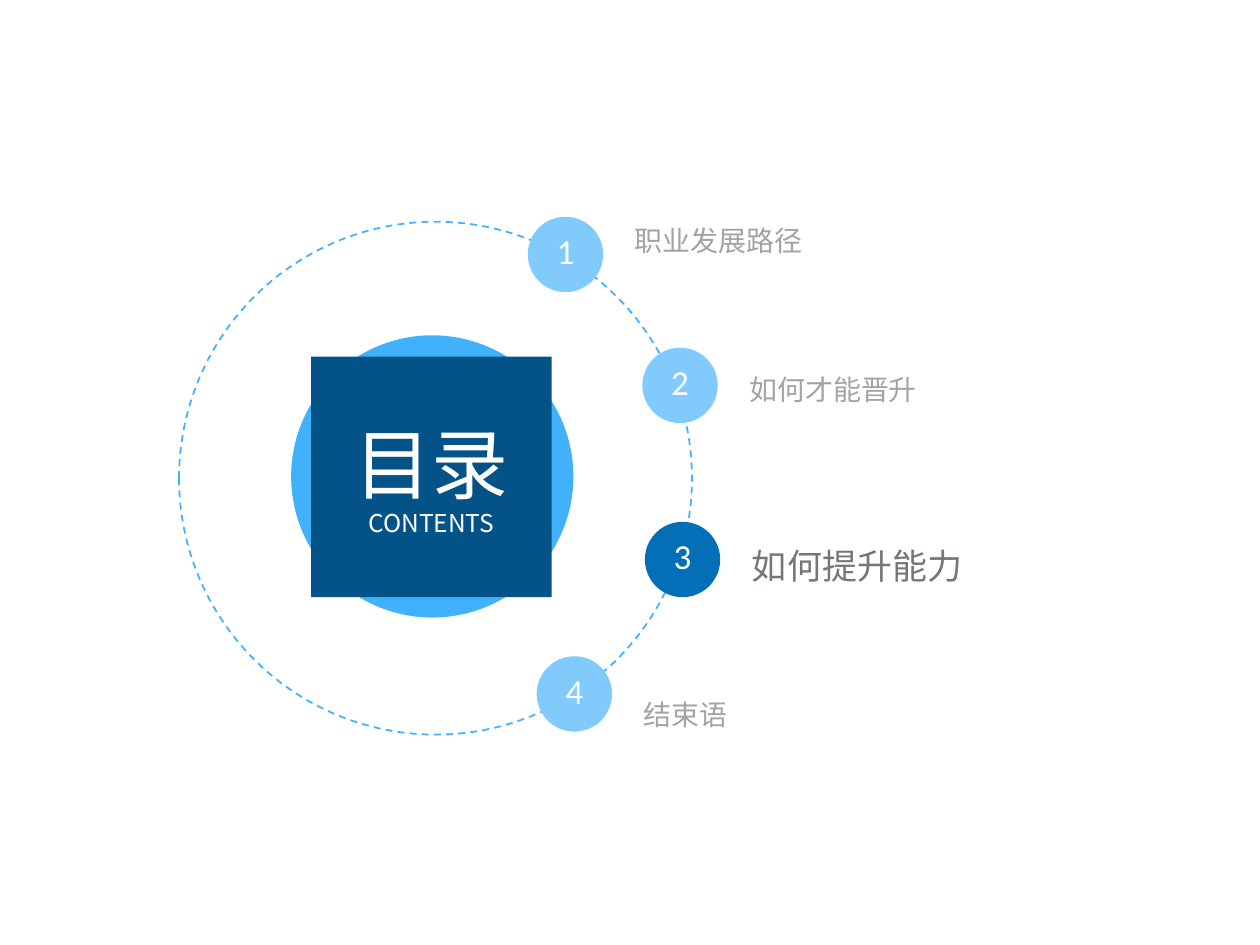
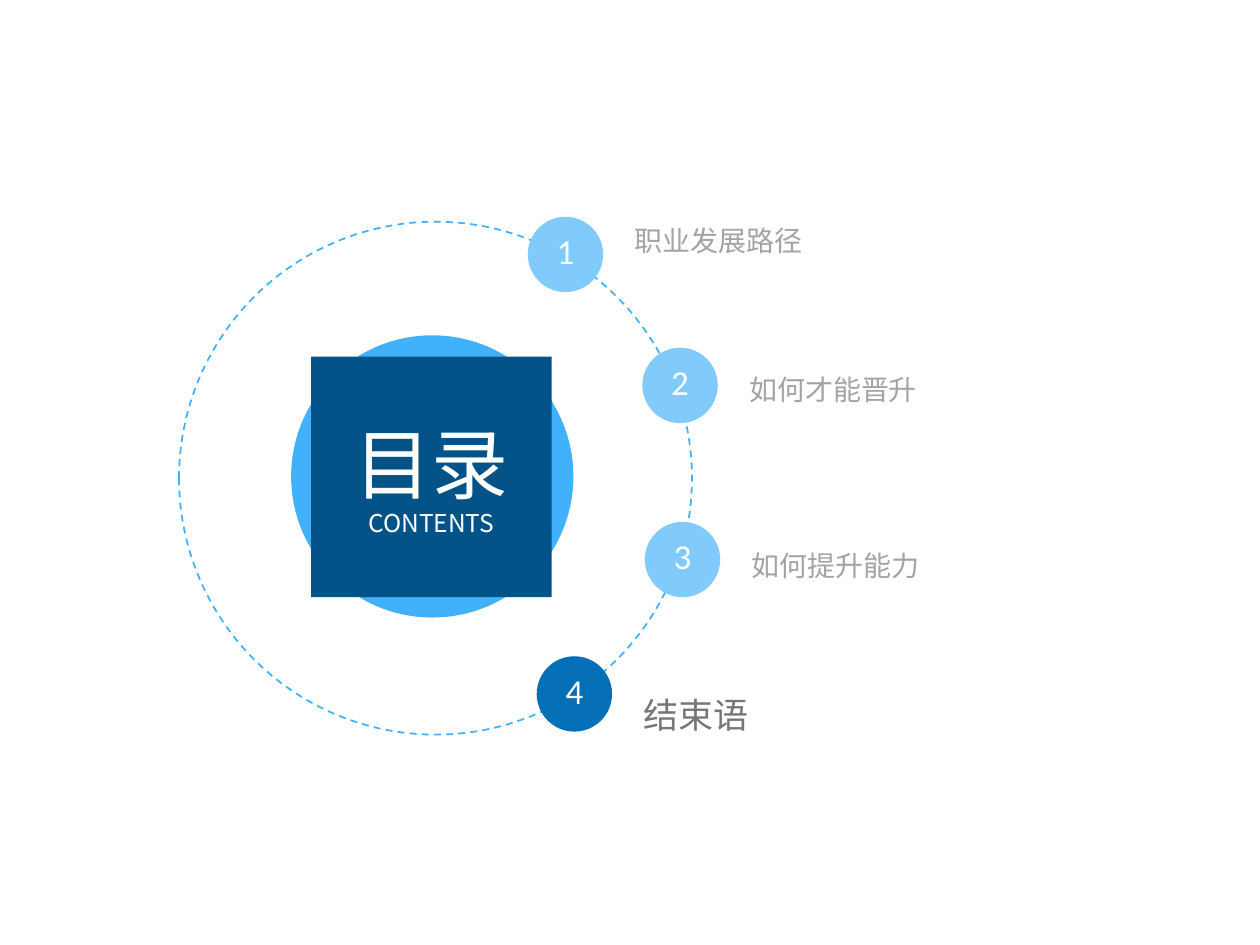
"""Build the two agenda slides, each highlighting one chapter on the orbit."""
from copy import deepcopy

from lxml.etree import SubElement
from pptx import Presentation
from pptx.dml.color import RGBColor
from pptx.enum.dml import MSO_LINE
from pptx.enum.shapes import MSO_SHAPE as Shape
from pptx.enum.text import MSO_ANCHOR as Anchor, MSO_AUTO_SIZE as AutoSize, PP_ALIGN as Align
from pptx.oxml.ns import qn
from pptx.util import Cm, Pt

HEADING = [("目录", 44), ("CONTENTS", 14)]
# Chapter, badge left and top, label top and width
CHAPTERS = [
    ("职业发展路径", 10.64, 4.37, 3.71, 9.93),
    ("如何才能晋升", 12.95, 7.01, 6.71, 8.28),
    ("如何提升能力", 13.0, 10.52, 10.26, 8.38),
    ("结束语", 10.82, 13.23, 13.26, 10.24),
]
ACTIVE_CHAPTERS = [3, 4]

HALO = (5.87, 6.76, 5.69)
ORBIT = (3.61, 4.47, 10.34)
DISC = (6.27, 7.19, 4.85)
BADGE_SIZE = 1.52
LABEL_OFFSET = 2.06
LABEL_HEIGHT = 2.13

WHITE, SKY, NAVY = "FFFFFF", "41B1FB", "035388"
BADGE_COLOURS = {True: "046FB6", False: "80CBFC"}
LABEL_STYLES = {True: (20, "73767A"), False: (16, "A3A3A3")}
LATIN, CHINESE = "Calibri", "Noto Sans CJK SC"


def colour(value):
    return RGBColor.from_string(value)


def paint(shape, value):
    shape.fill.solid()
    shape.fill.fore_color.rgb = colour(value)


def style(para, size, value, face=LATIN, align=Align.LEFT, spacing=1.0):
    para.alignment, para.line_spacing = align, spacing
    font = para.font
    font.size, font.name, font.color.rgb = Pt(size), face, colour(value)
    defaults = para._p.find(".//" + qn("a:defRPr"))
    SubElement(defaults, qn("a:ea"), typeface=CHINESE)


def set_frame(frame, left=0, right=0, top=0, bottom=0):
    frame.word_wrap, frame.auto_size = True, AutoSize.NONE
    frame.vertical_anchor = Anchor.MIDDLE
    frame.margin_left, frame.margin_right = Cm(left), Cm(right)
    frame.margin_top, frame.margin_bottom = Cm(top), Cm(bottom)


def add_circle(page, left, top, size, fill=None):
    circle = page.shapes.add_shape(Shape.OVAL, Cm(left), Cm(top), Cm(size), Cm(size))
    circle.shadow.inherit = False
    circle.line.fill.background()
    if fill:
        paint(circle, fill)
    else:
        circle.fill.background()
    return circle


def add_hub(page):
    halo = add_circle(page, *HALO, SKY)
    orbit = add_circle(page, *ORBIT)
    orbit.line.color.rgb = colour(SKY)
    orbit.line.width = Pt(1)
    orbit.line.dash_style = MSO_LINE.DASH

    title = page.shapes.title
    left, top, size = DISC
    title.left, title.top, title.width, title.height = Cm(left), Cm(top), Cm(size), Cm(size)
    title._element.spPr.append(deepcopy(halo._element.spPr.find(qn("a:prstGeom"))))
    paint(title, NAVY)
    orbit._element.addnext(title._element)
    frame = title.text_frame
    set_frame(frame)
    frame.text = "\n".join(text for text, _ in HEADING)
    for para, (_, size) in zip(frame.paragraphs, HEADING):
        style(para, size, WHITE, CHINESE, Align.CENTER)


def add_label(page, text, left, top, width, active):
    box = page.shapes.add_textbox(Cm(left), Cm(top), Cm(width), Cm(LABEL_HEIGHT))
    set_frame(box.text_frame, left=0.1)
    box.text_frame.text = text
    style(box.text_frame.paragraphs[0], *LABEL_STYLES[active], spacing=1.2)


def add_badge(page, number, left, top, active):
    badge = add_circle(page, left, top, BADGE_SIZE, BADGE_COLOURS[active])
    set_frame(badge.text_frame, 0.25, 0.25, 0.13, 0.13)
    badge.text_frame.text = str(number)
    style(badge.text_frame.paragraphs[0], 20, WHITE, align=Align.CENTER, spacing=0.8)


def add_agenda(deck, active):
    page = deck.slides.add_slide(deck.slide_layouts[5])
    add_hub(page)
    for number, (text, left, _, top, width) in enumerate(CHAPTERS, 1):
        add_label(page, text, left + LABEL_OFFSET, top, width, number == active)
    for number, (_, left, top, _, _) in enumerate(CHAPTERS, 1):
        add_badge(page, number, left, top, number == active)


def main():
    deck = Presentation()
    deck.slide_width, deck.slide_height = Cm(25.4), Cm(19.05)
    for active in ACTIVE_CHAPTERS:
        add_agenda(deck, active)
    deck.save("out.pptx")


if __name__ == "__main__":
    main()
